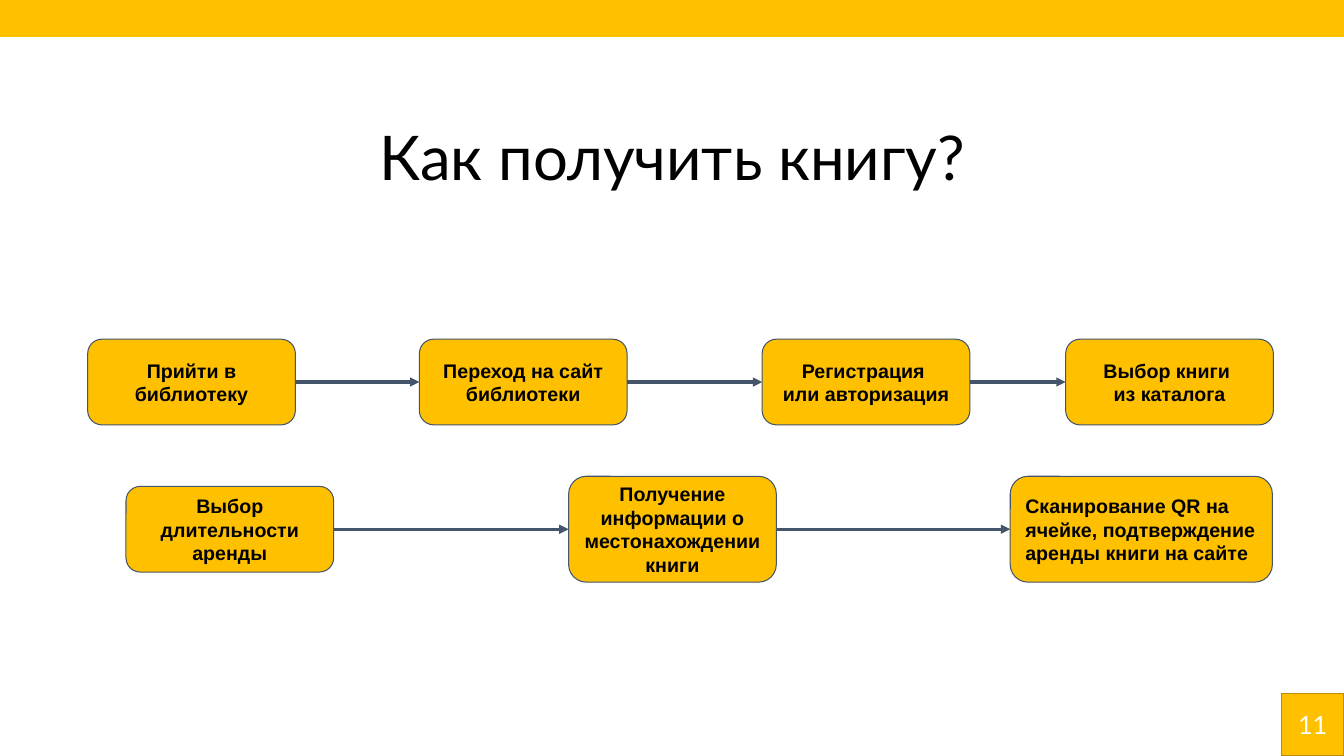
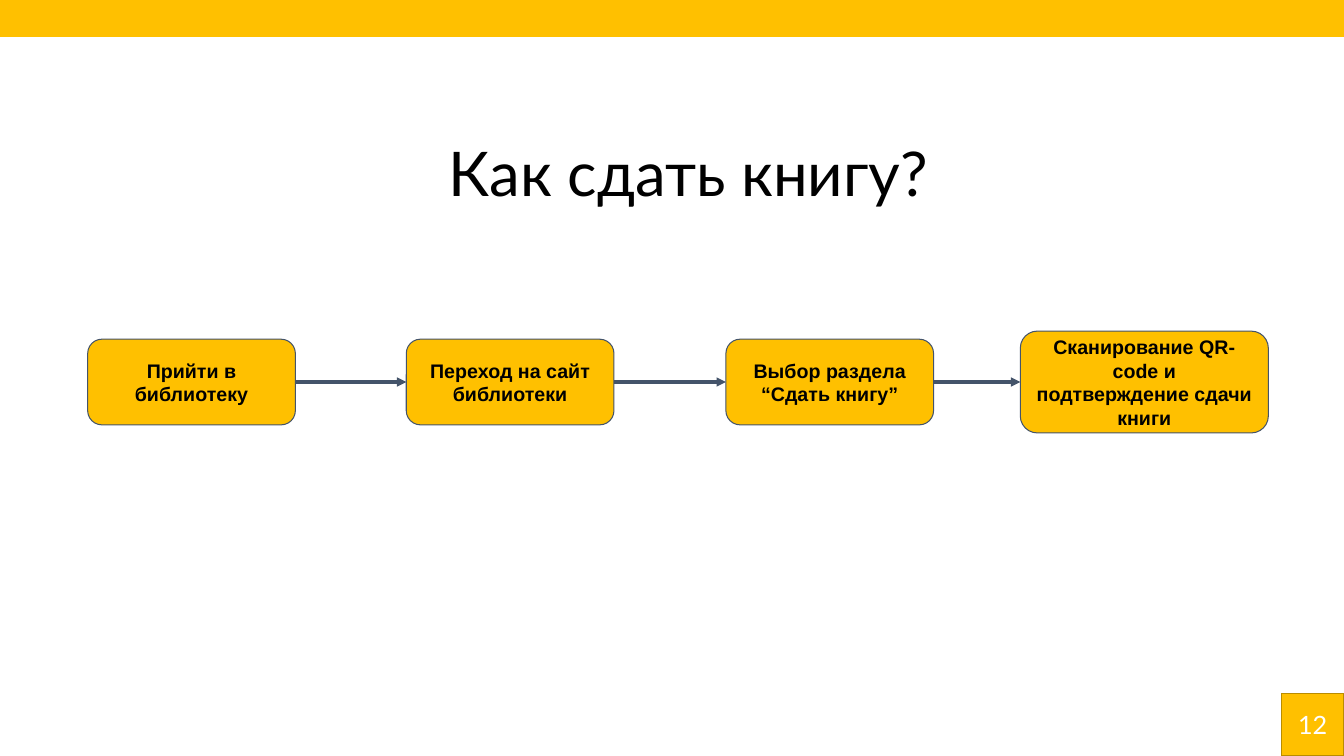
from lxml import etree
from pptx import Presentation
from pptx.dml.color import RGBColor
from pptx.enum.shapes import MSO_CONNECTOR, MSO_SHAPE
from pptx.enum.text import MSO_ANCHOR, PP_ALIGN
from pptx.oxml.ns import qn
from pptx.util import Inches, Pt

RECTANGLE = MSO_SHAPE.RECTANGLE
ROUNDED = MSO_SHAPE.ROUNDED_RECTANGLE
STRAIGHT = MSO_CONNECTOR.STRAIGHT
MIDDLE = MSO_ANCHOR.MIDDLE
LEFT, CENTER = PP_ALIGN.LEFT, PP_ALIGN.CENTER

WIDTH, HEIGHT = 13.33, 7.5
AMBER, AMBER_EDGE, SLATE = "FFC000", "BA8C00", "44546A"
BLACK, WHITE = "000000", "FFFFFF"
HEAD_FONT, STEP_FONT = "Lato", "Arial"
BAND_HEIGHT = 0.36
BADGE_SIZE = 0.62
TITLE_WIDTH, TITLE_HEIGHT = 11.5, 1.45
STEP_WIDTH, STEP_HEIGHT = 2.06, 0.85
TOP_ROW, BOTTOM_ROW = 3.79, 5.25
LEFT_SITE, RIGHT_SITE = 1, 3


def color(value):
    return RGBColor.from_string(value)


def add_text(shape, text, font, size, ink, bold=False, align=CENTER, inset=0.05):
    frame = shape.text_frame
    frame.word_wrap = True
    frame.vertical_anchor = MIDDLE
    frame.margin_left = frame.margin_right = Inches(0.1)
    frame.margin_top = frame.margin_bottom = Inches(inset)
    para = frame.paragraphs[0]
    para.alignment = align
    for index, line in enumerate(text.split("\n")):
        if index:
            para.add_line_break()
        span = para.add_run()
        span.text = line
        span.font.name = font
        span.font.size = Pt(size)
        span.font.bold = bold
        span.font.color.rgb = color(ink)
    return para


def add_block(page, kind, left, top, width, height, edge, edge_width=1):
    block = page.shapes.add_shape(
        kind, Inches(left), Inches(top), Inches(width), Inches(height))
    block.shadow.inherit = False
    block.fill.solid()
    block.fill.fore_color.rgb = color(AMBER)
    block.line.color.rgb = color(edge)
    block.line.width = Pt(edge_width)
    return block


def add_title(page, text, left, top):
    box = page.shapes.add_textbox(
        Inches(left), Inches(top), Inches(TITLE_WIDTH), Inches(TITLE_HEIGHT))
    add_text(box, text, HEAD_FONT, 44, BLACK).line_spacing = 0.9


def add_step(page, middle, left, text, width=STEP_WIDTH, height=STEP_HEIGHT, align=CENTER):
    step = add_block(page, ROUNDED, left, middle - height / 2, width, height, SLATE, 0.75)
    add_text(step, text, STEP_FONT, 14, BLACK, True, align, 0.1)
    return step


def add_arrow(page, source, target):
    arrow = page.shapes.add_connector(STRAIGHT, 0, 0, 0, 0)
    arrow.begin_connect(source, RIGHT_SITE)
    arrow.end_connect(target, LEFT_SITE)
    arrow.line.color.rgb = color(SLATE)
    arrow.line.width = Pt(2.25)
    etree.SubElement(arrow.line._get_or_add_ln(), qn("a:tailEnd"), type="triangle")
    etree.SubElement(arrow._element.spPr, qn("a:effectLst"))


def add_flow(page, middle, steps):
    boxes = [add_step(page, middle, *step) for step in steps]
    for source, target in zip(boxes, boxes[1:]):
        add_arrow(page, source, target)


def add_page(deck, number, title, title_left, title_top):
    page = deck.slides.add_slide(deck.slide_layouts[6])
    add_block(page, RECTANGLE, 0, 0, WIDTH, BAND_HEIGHT, AMBER)
    add_title(page, title, title_left, title_top)
    badge = add_block(page, RECTANGLE, WIDTH - BADGE_SIZE, HEIGHT - BADGE_SIZE,
                      BADGE_SIZE, BADGE_SIZE, AMBER_EDGE)
    add_text(badge, str(number), HEAD_FONT, 18, WHITE)
    return page


def main():
    deck = Presentation()
    deck.slide_width, deck.slide_height = Inches(WIDTH), Inches(HEIGHT)

    borrowing = add_page(deck, 11, "Как получить книгу?", 0.92, 0.87)
    add_flow(borrowing, TOP_ROW, [
        (0.87, "Прийти в библиотеку"),
        (4.16, "Переход на сайт библиотеки"),
        (7.56, "Регистрация \nили авторизация"),
        (10.57, "Выбор книги \nиз каталога"),
    ])
    add_flow(borrowing, BOTTOM_ROW, [
        (1.25, "Выбор длительности аренды"),
        (5.64, "Получение информации о местонахождении книги", STEP_WIDTH, 1.05),
        (10.02, "Сканирование QR на ячейке, подтверждение аренды книги на сайте",
         2.6, 1.05, LEFT),
    ])

    returning = add_page(deck, 12, "Как сдать книгу?", 1.08, 1.03)
    add_flow(returning, TOP_ROW, [
        (0.87, "Прийти в библиотеку"),
        (4.03, "Переход на сайт библиотеки"),
        (7.2, "Выбор раздела\n“Сдать книгу”"),
        (10.12, "Сканирование QR-code и подтверждение сдачи книги", 2.46, 1.01),
    ])

    deck.save("out.pptx")


if __name__ == "__main__":
    main()
